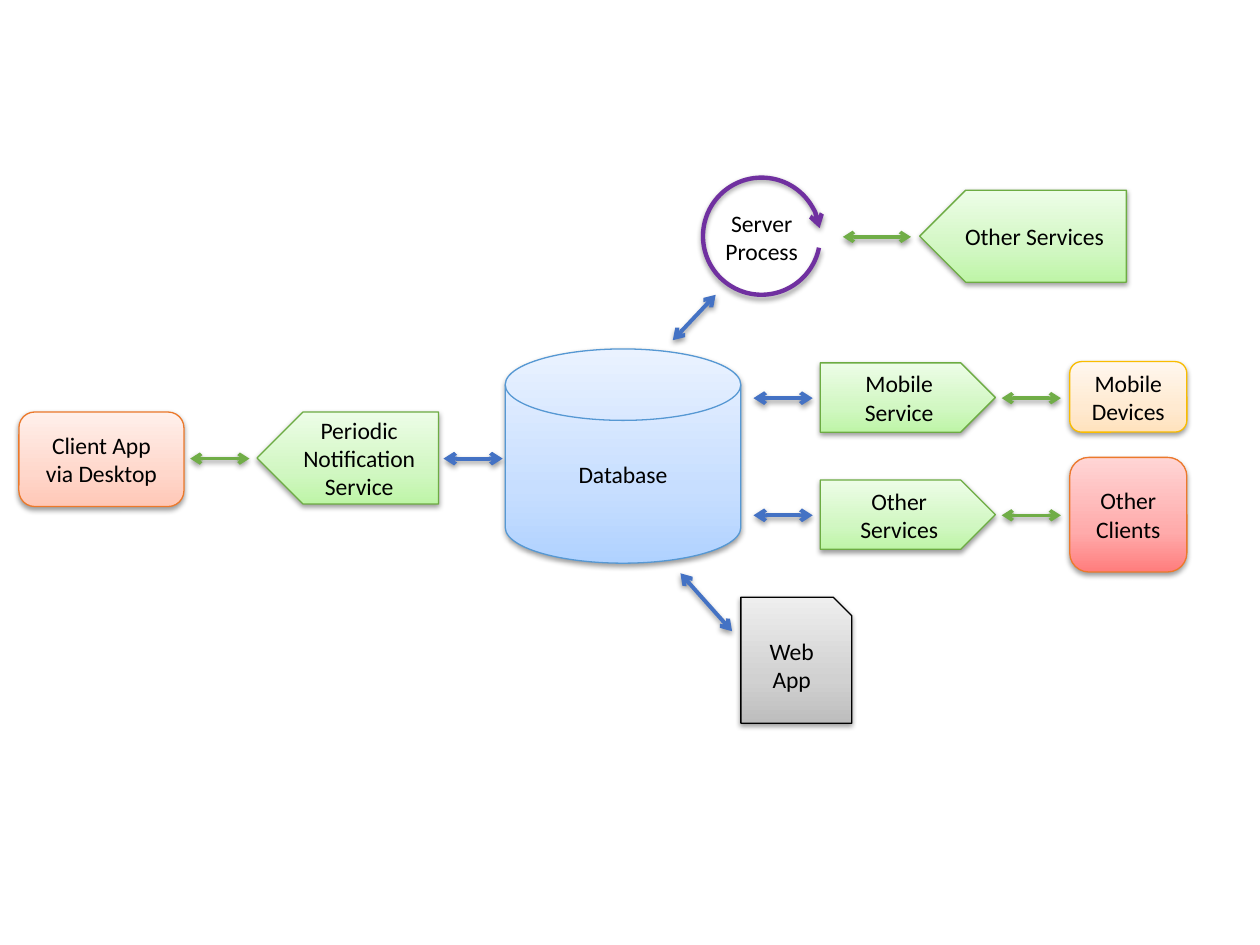
import copy
from dataclasses import dataclass

import lxml.etree
import pptx
import pptx.dml.color
import pptx.enum.shapes
import pptx.enum.text
import pptx.oxml.ns
import pptx.util

Inches = pptx.util.Inches
Pt = pptx.util.Pt
Geometry = pptx.enum.shapes.MSO_SHAPE
qn = pptx.oxml.ns.qn


@dataclass(frozen=True)
class Paint:
    dark: str
    middle: str
    light: str
    outline: str


@dataclass(frozen=True)
class Theme:
    font: str = "Calibri"
    text_size: float = 13.5
    text: str = "000000"
    outline_width: float = 0.75
    process: str = "7030A0"
    process_width: float = 2.5
    data_link: str = "4472C4"
    data_link_width: float = 2.25
    service_link: str = "70AD47"
    service_link_width: float = 2
    database: Paint = Paint("B0D2FF", "C7DEFF", "EAF2FF", "5698D3")
    service: Paint = Paint("BEF5A7", "D1F7C2", "EDFDE7", "6DAC43")
    client: Paint = Paint("FFC7B6", "FFD7CB", "FFF0EB", "EC792B")
    device: Paint = Paint("FFE2BD", "FFEAD1", "FFF7EE", "F9BC00")
    web: Paint = Paint("BDBDBD", "D1D1D1", "EEEEEE", "000000")
    other_client: Paint = Paint("FF7D7D", "FFABAB", "FFD5D5", "EC792B")


THEME = Theme()


@dataclass(frozen=True)
class Node:
    label: str
    geometry: Geometry
    paint: Paint
    left: float
    top: float
    width: float
    height: float
    flipped: bool = False


@dataclass(frozen=True)
class Link:
    start: tuple[float, float]
    end: tuple[float, float]
    color: str
    width: float


def data_link(start: tuple[float, float], end: tuple[float, float]) -> Link:
    return Link(start, end, THEME.data_link, THEME.data_link_width)


def service_link(start: tuple[float, float], end: tuple[float, float]) -> Link:
    return Link(start, end, THEME.service_link, THEME.service_link_width)


ROW_CENTERS = (3.16, 4.09)
CLIENT_ROW = 3.64
ROW_SERVICES = ("Mobile Service", "Other Services")

NODES = [
    Node("Database", Geometry.FLOWCHART_MAGNETIC_DISK, THEME.database, 4.01, 2.77, 1.87, 1.7),
    Node("Periodic\nNotification Service", Geometry.PENTAGON, THEME.service,
         2.04, 3.27, 1.44, 0.73, flipped=True),
    Node("Client App\nvia Desktop", Geometry.ROUNDED_RECTANGLE, THEME.client,
         0.15, 3.27, 1.31, 0.75),
    Node("Mobile\nDevices", Geometry.ROUNDED_RECTANGLE, THEME.device, 8.49, 2.87, 0.93, 0.56),
    Node("Other Services", Geometry.PENTAGON, THEME.service,
         7.3, 1.51, 1.64, 0.73, flipped=True),
    Node("Web\nApp", Geometry.SNIP_1_RECTANGLE, THEME.web, 5.88, 4.74, 0.88, 1),
    Node("Other\nClients", Geometry.ROUNDED_RECTANGLE, THEME.other_client,
         8.49, 3.63, 0.93, 0.91),
] + [
    Node(service, Geometry.PENTAGON, THEME.service, 6.51, center - 0.28, 1.39, 0.55)
    for service, center in zip(ROW_SERVICES, ROW_CENTERS)
]

LINKS = [
    data_link((5.68, 2.34), (5.34, 2.7)),
    data_link((5.4, 4.55), (5.81, 5.01)),
    data_link((3.99, CLIENT_ROW), (3.52, CLIENT_ROW)),
    service_link((1.98, CLIENT_ROW), (1.51, CLIENT_ROW)),
    service_link((7.23, 1.88), (6.69, 1.88)),
]
for center in ROW_CENTERS:
    LINKS.append(data_link((6.45, center), (5.98, center)))
    LINKS.append(service_link((8.42, center), (7.95, center)))


def rgb(value: str) -> pptx.dml.color.RGBColor:
    return pptx.dml.color.RGBColor.from_string(value)


def write_text(holder, text: str, *, anchor=pptx.enum.text.MSO_ANCHOR.MIDDLE,
               wrap: bool = True, auto_size=pptx.enum.text.MSO_AUTO_SIZE.NONE) -> None:
    frame = holder.text_frame
    frame.word_wrap = wrap
    frame.auto_size = auto_size
    frame.vertical_anchor = anchor
    paragraph = frame.paragraphs[0]
    paragraph.text = text
    paragraph.alignment = pptx.enum.text.PP_ALIGN.CENTER
    for run in paragraph.runs:
        run.font.name = THEME.font
        run.font.size = Pt(THEME.text_size)
        run.font.color.rgb = rgb(THEME.text)


def add_shadow(properties) -> None:
    effects = properties.find(qn("a:effectLst"))
    if effects is None:
        effects = lxml.etree.SubElement(properties, qn("a:effectLst"))
    shadow = lxml.etree.SubElement(
        effects, qn("a:outerShdw"), blurRad=str(Pt(3.1)), dist=str(Pt(1.6)),
        dir="5400000", rotWithShape="0")
    color = lxml.etree.SubElement(shadow, qn("a:srgbClr"), val="000000")
    lxml.etree.SubElement(color, qn("a:alpha"), val="38000")


def set_line(item, color: str, width: float, arrow_ends: tuple[str, ...] = ()) -> None:
    item.line.color.rgb = rgb(color)
    item.line.width = Pt(width)
    line = item._element.spPr.find(qn("a:ln"))
    for end in arrow_ends:
        lxml.etree.SubElement(line, qn(end), type="arrow")


def fill_gradient(shape, paint: Paint) -> None:
    shape.fill.gradient()
    shape.fill.gradient_angle = 90
    stop_list = shape._element.spPr.find(".//" + qn("a:gsLst"))
    stop_list.append(copy.deepcopy(stop_list[-1]))
    colors = (paint.dark, paint.middle, paint.light)
    for stop, position, color in zip(shape.fill.gradient_stops, (0, 0.35, 1), colors):
        stop.position = position
        stop.color.rgb = rgb(color)


def draw_node(slide, node: Node) -> None:
    shape = slide.shapes.add_shape(
        node.geometry, Inches(node.left), Inches(node.top),
        Inches(node.width), Inches(node.height))
    fill_gradient(shape, node.paint)
    set_line(shape, node.paint.outline, THEME.outline_width)
    shape.shadow.inherit = False
    add_shadow(shape._element.spPr)
    if node.flipped:
        shape._element.spPr.find(qn("a:xfrm")).set("flipH", "1")
    write_text(shape, node.label)


def draw_link(slide, link: Link) -> None:
    connector = slide.shapes.add_connector(
        pptx.enum.shapes.MSO_CONNECTOR.STRAIGHT,
        *(Inches(value) for value in link.start + link.end))
    set_line(connector, link.color, link.width, ("a:headEnd", "a:tailEnd"))
    add_shadow(connector._element.spPr)


def draw_server_process(slide) -> None:
    cycle = slide.shapes.add_shape(
        Geometry.ARC, Inches(5.58), Inches(1.41), Inches(0.93), Inches(0.93))
    cycle.adjustments[0] = 6.81
    cycle.adjustments[1] = 211.29
    cycle.fill.background()
    set_line(cycle, THEME.process, THEME.process_width, ("a:tailEnd",))
    cycle.shadow.inherit = False
    add_shadow(cycle._element.spPr)
    label = slide.shapes.add_textbox(Inches(5.65), Inches(1.61), Inches(0.79), Inches(0.56))
    write_text(label, "Server\nProcess", anchor=pptx.enum.text.MSO_ANCHOR.TOP, wrap=False,
               auto_size=pptx.enum.text.MSO_AUTO_SIZE.SHAPE_TO_FIT_TEXT)


def main() -> None:
    deck = pptx.Presentation()
    deck.slide_width = Inches(10)
    deck.slide_height = Inches(7.5)
    slide = deck.slides.add_slide(deck.slide_layouts[6])
    for node in NODES:
        draw_node(slide, node)
    draw_server_process(slide)
    for link in LINKS:
        draw_link(slide, link)
    deck.save("out.pptx")


if __name__ == "__main__":
    main()
